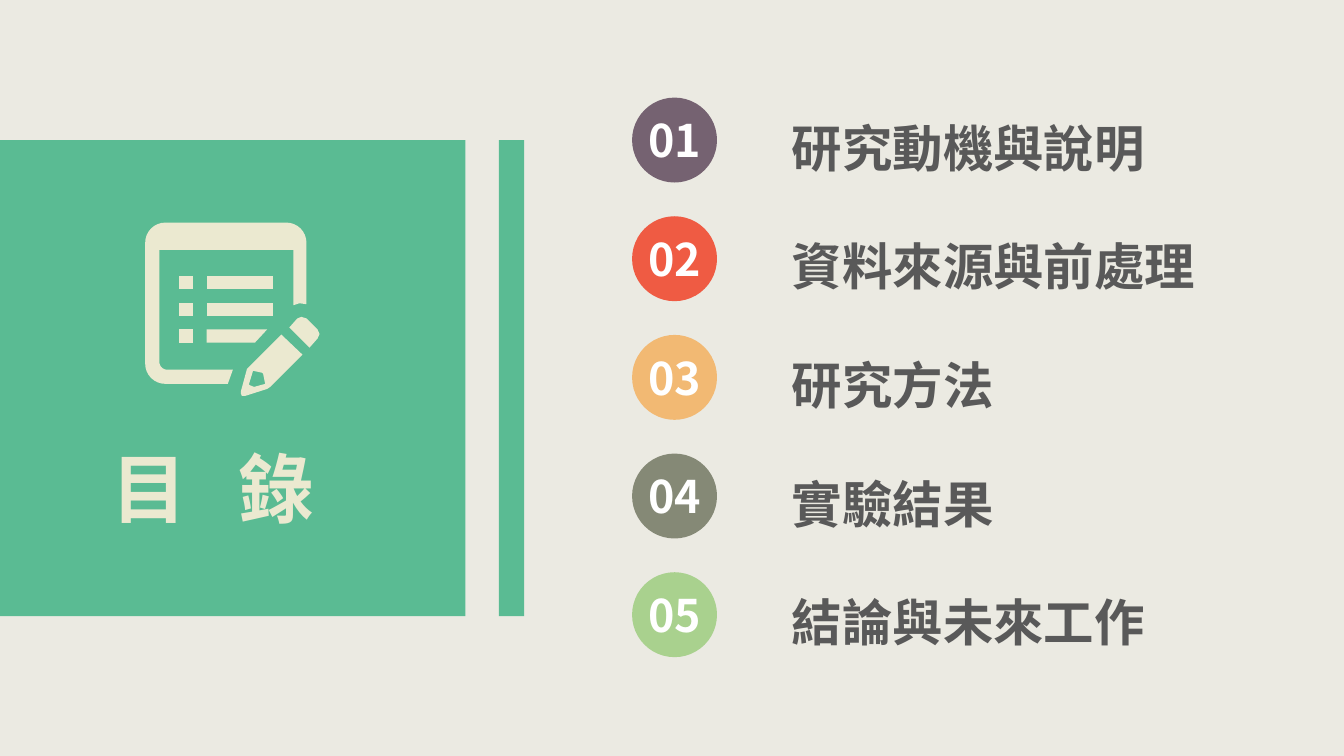
from dataclasses import dataclass
from math import cos, radians, sin

from lxml import etree
from pptx import Presentation
from pptx.dml.color import RGBColor
from pptx.enum.shapes import MSO_SHAPE
from pptx.enum.text import MSO_ANCHOR, MSO_AUTO_SIZE, PP_ALIGN
from pptx.oxml.ns import qn
from pptx.util import Cm, Pt

RECTANGLE, OVAL = MSO_SHAPE.RECTANGLE, MSO_SHAPE.OVAL
LEFT, CENTER = PP_ALIGN.LEFT, PP_ALIGN.CENTER
TOP, MIDDLE = MSO_ANCHOR.TOP, MSO_ANCHOR.MIDDLE
FIT_SHAPE = MSO_AUTO_SIZE.SHAPE_TO_FIT_TEXT


@dataclass(frozen=True)
class Theme:
    font: str = "Noto Sans CJK SC"
    paper: str = "EBEAE2"
    panel: str = "5ABB93"
    cream: str = "EBE9D0"
    ink: str = "595959"
    white: str = "FFFFFF"
    badges: tuple = ("756271", "EF5B43", "F2B973", "858976", "A9D18E")
    title_size: int = 54
    label_size: int = 36
    badge_size: int = 32


THEME = Theme()
TOPICS = ("研究動機與說明", "資料來源與前處理", "研究方法", "實驗結果", "結論與未來工作")
ICON_UNIT = 0.0254  # cm for each step of the icon grid


def paint(shape, color):
    shape.shadow.inherit = False
    shape.fill.solid()
    shape.fill.fore_color.rgb = RGBColor.from_string(color)
    shape.line.fill.background()


def add_block(shapes, kind, left, top, width, height, color):
    shape = shapes.add_shape(kind, Cm(left), Cm(top), Cm(width), Cm(height))
    paint(shape, color)
    return shape


def write(para, text, *, size, color, spacing=0):
    """Add a bold span; spacing is the extra width of each letter in points."""
    span = para.add_run()
    span.text = text
    span.font.size = Pt(size)
    span.font.bold = True
    span.font.color.rgb = RGBColor.from_string(color)
    span.font.name = THEME.font
    properties = span.font._element
    etree.SubElement(properties, qn("a:ea")).set("typeface", THEME.font)
    if spacing:
        properties.set("spc", str(spacing * 100))


def add_label(page, left, top, width, height):
    box = page.shapes.add_textbox(Cm(left), Cm(top), Cm(width), Cm(height))
    frame = box.text_frame
    frame.word_wrap = False
    frame.auto_size = FIT_SHAPE
    frame.vertical_anchor = TOP
    para = frame.paragraphs[0]
    para.alignment = LEFT
    return para


def arc(x, y, radius, start, end, steps=8):
    """Points along a rounded corner, angles in degrees."""
    angles = [radians(start + (end - start) * i / steps) for i in range(steps + 1)]
    return [(x + radius * cos(a), y + radius * sin(a)) for a in angles]


def add_outline(shapes, left, top, *contours):
    """Draw closed contours, given on the icon grid, as one shape."""
    def place(points):
        return [(Cm(left + x * ICON_UNIT), Cm(top + y * ICON_UNIT)) for x, y in points]

    first, *others = [place(points) for points in contours]
    builder = shapes.build_freeform(*first[0])
    builder.add_line_segments(first[1:], close=True)
    for points in others:
        builder.move_to(*points[0])
        builder.add_line_segments(points[1:], close=True)
    paint(builder.convert_to_shape(), THEME.cream)


def add_icon(page, left, top):
    """List window with a pencil."""
    shapes = page.shapes.add_group_shape().shapes
    # Window
    add_outline(shapes, left, top, [
        (87, 146), (82, 160), *arc(20, 140, 20, 90, 180), *arc(20, 20, 20, 180, 270),
        *arc(140, 20, 20, 270, 360), (160, 81), (153, 80), (147, 82),
        (147, 27), (14, 27), *arc(22, 138, 8, 180, 90)])
    # List rows, the last one cut off by the pencil
    for row in range(3):
        upper = 53 + 26.5 * row
        lower = upper + 13
        cut = 18 if row == 2 else 0
        add_outline(shapes, left, top, [(34, upper), (47, upper), (47, lower), (34, lower)])
        add_outline(shapes, left, top, [
            (61, upper), (127 - cut / 3, upper), (127 - cut, lower), (61, lower)])
    # Pencil body with its tip, then the eraser
    add_outline(
        shapes, left, top,
        [(135, 111), (156, 131), (124, 163), (121, 165), (99, 172), (96, 172),
         (95, 170), (95, 167), (101, 145), (103, 143)],
        [(107, 147), (103, 160), (103, 161), (108, 163), (119, 160), (117, 150), (116, 149)])
    add_outline(shapes, left, top, [
        (143, 104), (151, 95), (155, 93.5), (160, 95), (171, 106),
        (173, 110.5), (171, 115), (163, 124)])


def add_title_panel(page, left, top, width, height):
    """Green panel with icon and title, and the stripe beside it."""
    stripe = 0.64
    add_block(page.shapes, RECTANGLE, left, top, width - 1.48, height, THEME.panel)
    add_block(page.shapes, RECTANGLE, left + width - stripe, top, stripe, height, THEME.panel)
    add_icon(page, left + 3.66, top + 2.08)
    para = add_label(page, left + 2.57, top + 7.49, 6.1, 2.57)
    for text, spacing in (("目", 0), (" ", 24), ("錄", 0)):
        write(para, text, size=THEME.title_size, color=THEME.cream, spacing=spacing)


def add_badge(page, left, top, size, number, color):
    badge = add_block(page.shapes, OVAL, left, top, size, size, color)
    frame = badge.text_frame
    frame.word_wrap = False
    frame.vertical_anchor = MIDDLE
    frame.margin_left = frame.margin_right = frame.margin_top = frame.margin_bottom = 0
    para = frame.paragraphs[0]
    para.alignment = CENTER
    write(para, f"{number:02}", size=THEME.badge_size, color=THEME.white)


def add_topics(page, left, top, pitch):
    """Numbered topics, one below the other."""
    for row, (topic, color) in enumerate(zip(TOPICS, THEME.badges)):
        row_top = top + row * pitch
        add_badge(page, left, row_top, 2.14, row + 1, color)
        para = add_label(page, left + 3.78, row_top + 0.36, 1.27 * len(topic) + 0.6, 1.8)
        write(para, topic, size=THEME.label_size, color=THEME.ink)


def main():
    deck = Presentation()
    deck.slide_width, deck.slide_height = Cm(33.87), Cm(19.05)
    page = deck.slides.add_slide(deck.slide_layouts[6])
    page.background.fill.solid()
    page.background.fill.fore_color.rgb = RGBColor.from_string(THEME.paper)
    add_title_panel(page, 0, 3.53, 13.21, 12)
    add_topics(page, 15.93, 2.46, 2.99)
    deck.save("out.pptx")


if __name__ == "__main__":
    main()
